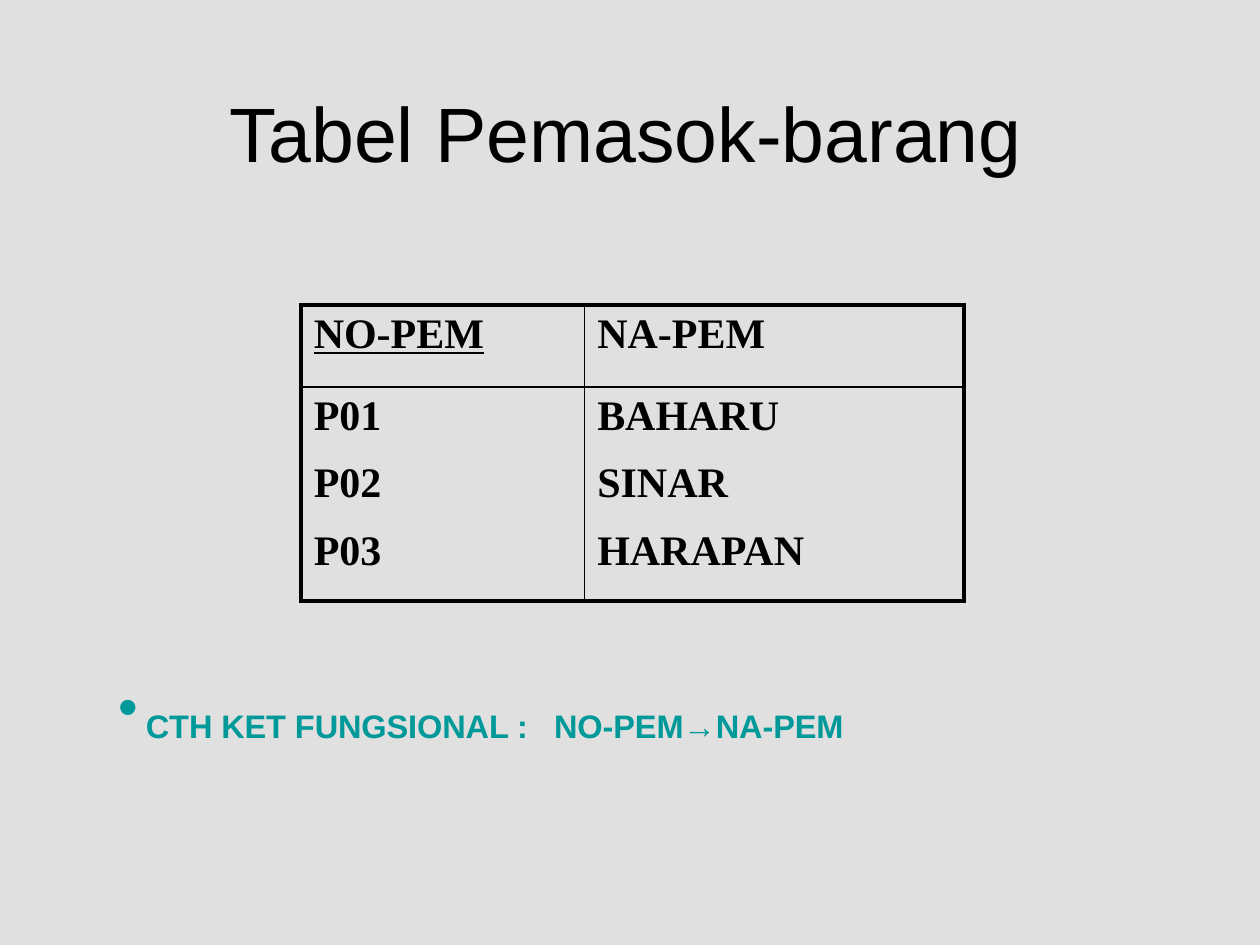
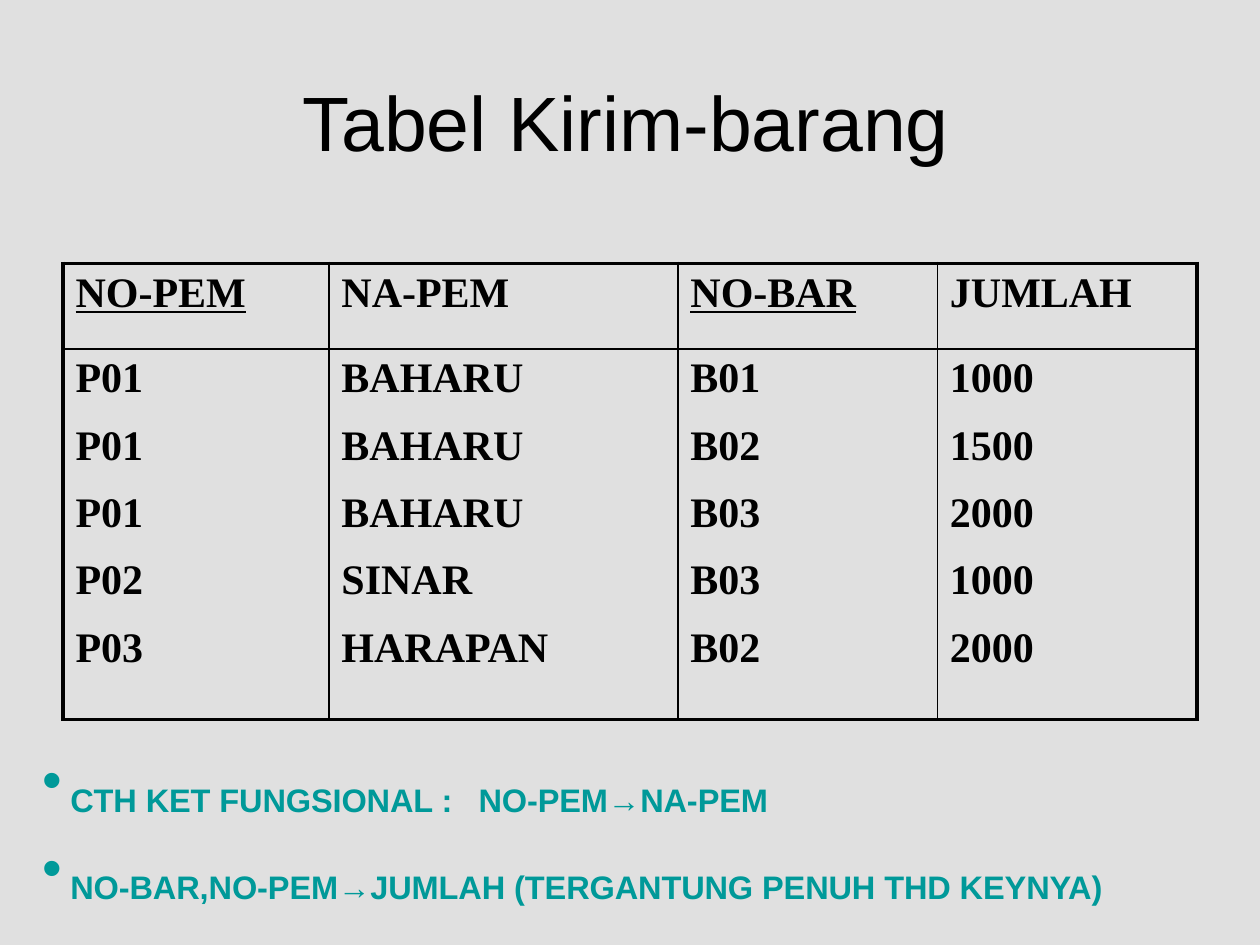
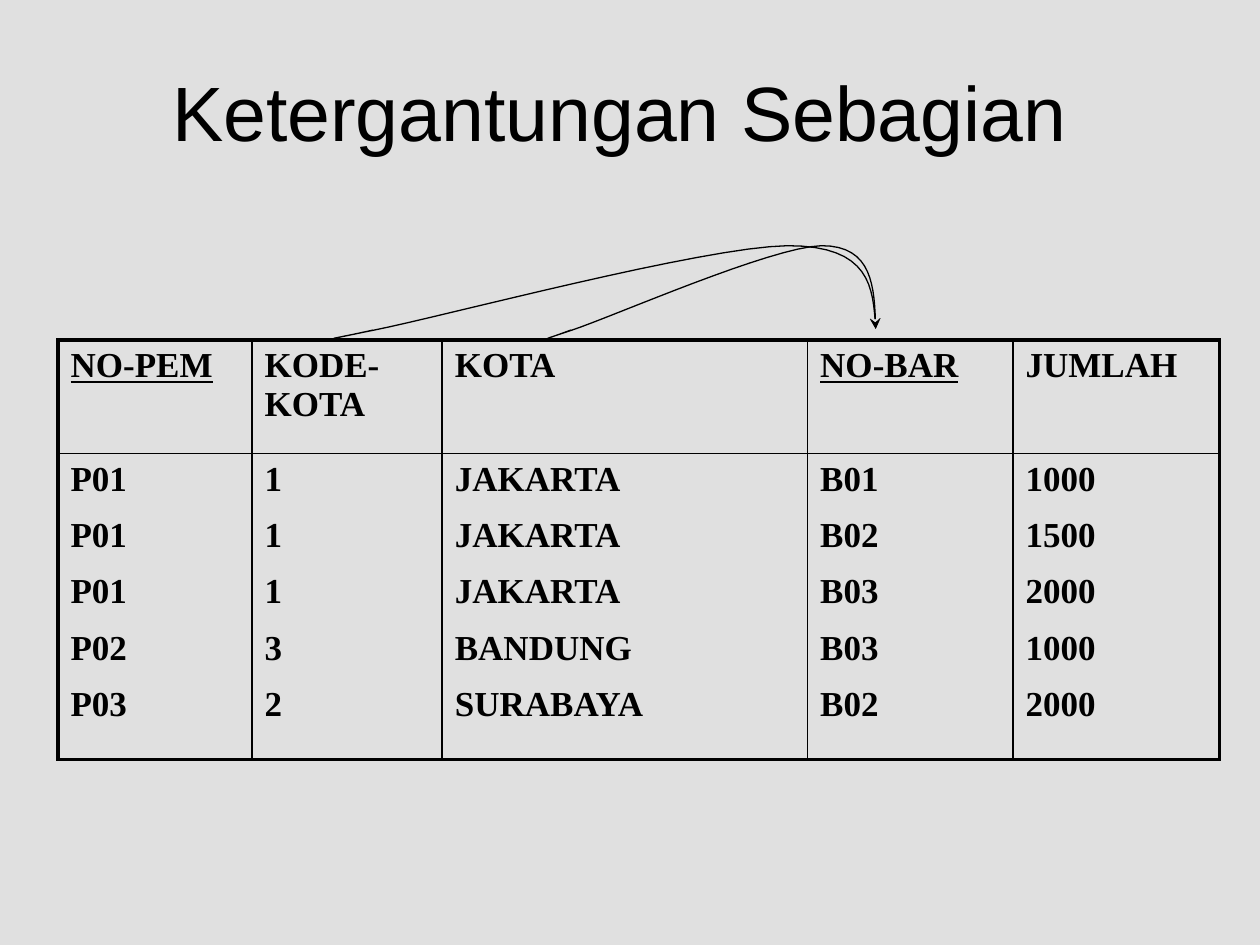
from dataclasses import dataclass

from lxml.etree import SubElement
from pptx import Presentation
from pptx.dml.color import RGBColor as RGB
from pptx.enum.text import MSO_ANCHOR as ANCHOR, MSO_AUTO_SIZE as AUTOSIZE, PP_ALIGN as ALIGN
from pptx.oxml.ns import qn
from pptx.oxml.xmlchemy import OxmlElement
from pptx.slide import Slide
from pptx.table import _Cell as Cell
from pptx.text.text import _Paragraph as Paragraph
from pptx.util import Inches, Pt

COLORS = {"background": "E0E0E0", "ink": "000000", "note": "009999"}
SANS, SERIF = "Arial", "Times New Roman"
OUTER, INNER = 2.25, 1
BULLET_INDENT, FORMULA_TAB = 0.22, 3.46
CURVE_STEPS = 16

Point = tuple[float, float]


@dataclass(frozen=True)
class Title:
    text: str
    left: float
    top: float


@dataclass(frozen=True)
class Relation:
    left: float
    top: float
    widths: list[float]
    heights: list[float]
    headers: list[str]
    columns: list[list[str]]
    size: int = 24
    keys: tuple[str, ...] = ("NO-PEM", "NO-BAR")


@dataclass(frozen=True)
class Notes:
    left: float
    top: float
    width: float
    height: float
    lines: list[str]


@dataclass(frozen=True)
class Arrow:
    start: Point
    curves: list[tuple[Point, Point, Point]]


@dataclass(frozen=True)
class Page:
    title: Title
    relation: Relation
    notes: Notes | None = None
    arrows: tuple[Arrow, ...] = ()


SUPPLIERS = ["P01", "P01", "P01", "P02", "P03"]
ITEMS = ["B01", "B02", "B03", "B03", "B02"]
AMOUNTS = ["1000", "1500", "2000", "1000", "2000"]
NAME_RULE = "CTH KET FUNGSIONAL :\tNO-PEM→NA-PEM"

PAGES = [
    Page(
        Title("Tabel Pemasok-barang", 0.47, 0.42),
        Relation(
            2.39, 2.42, [2.25, 3.01], [0.65, 1.7], ["NO-PEM", "NA-PEM"],
            [["P01", "P02", "P03"], ["BAHARU", "SINAR", "HARAPAN"]],
        ),
        Notes(0.84, 5.26, 6.74, 0.45, [NAME_RULE]),
    ),
    Page(
        Title("Tabel Kirim-barang", 0.47, 0.33),
        Relation(
            0.5, 2.09, [2.11, 2.77, 2.06, 2.06], [0.68, 2.94],
            ["NO-PEM", "NA-PEM", "NO-BAR", "JUMLAH"],
            [SUPPLIERS, ["BAHARU"] * 3 + ["SINAR", "HARAPAN"], ITEMS, AMOUNTS],
        ),
        Notes(
            0.24, 5.84, 9.68, 0.87,
            [NAME_RULE, "NO-BAR,NO-PEM→JUMLAH (TERGANTUNG PENUH THD KEYNYA)"],
        ),
    ),
    Page(
        Title("Ketergantungan Sebagian", 0.42, 0.25),
        Relation(
            0.46, 2.7, [1.54, 1.51, 2.9, 1.63, 1.64], [0.9, 2.43],
            ["NO-PEM", "KODE-KOTA", "KOTA", "NO-BAR", "JUMLAH"],
            [
                SUPPLIERS,
                ["1", "1", "1", "3", "2"],
                ["JAKARTA"] * 3 + ["BANDUNG", "SURABAYA"],
                ITEMS,
                AMOUNTS,
            ],
            size=20,
        ),
        arrows=(
            Arrow((6.95, 2.61), [
                ((6.93, 2.28), (6.91, 1.95), (6.25, 1.95)),
                ((5.58, 1.96), (3.52, 2.51), (2.97, 2.62)),
                ((2.42, 2.73), (2.69, 2.68), (2.96, 2.62)),
            ]),
            Arrow((6.95, 2.61), [
                ((6.94, 2.28), (6.93, 1.95), (6.52, 1.95)),
                ((6.12, 1.96), (4.87, 2.51), (4.54, 2.62)),
                ((4.21, 2.73), (4.37, 2.68), (4.53, 2.62)),
            ]),
        ),
    ),
]


def add_text(p: Paragraph, text: str, *, size: int, font: str = SANS, color: str = "ink",
             bold: bool = False, underline: bool = False, baseline: int = 0) -> None:
    """Add one formatted run to a paragraph."""
    r = p.add_run()
    r.text = text
    r.font.size = Pt(size)
    r.font.name = font
    r.font.bold = bold
    r.font.underline = underline
    r.font.color.rgb = RGB.from_string(COLORS[color])
    if baseline:
        r._r.get_or_add_rPr().set("baseline", str(baseline * 1000))


def space_before(p: Paragraph, percent: int) -> None:
    """Set the paragraph spacing relative to the text size."""
    spacing = SubElement(p._p.get_or_add_pPr(), qn("a:spcBef"))
    SubElement(spacing, qn("a:spcPct")).set("val", str(percent * 1000))


def add_bullet(p: Paragraph) -> None:
    """Give a paragraph a hanging bullet and a tab stop for its formula."""
    pPr = p._p.get_or_add_pPr()
    pPr.set("marL", str(Inches(BULLET_INDENT)))
    pPr.set("indent", str(-Inches(BULLET_INDENT)))
    SubElement(pPr, qn("a:buFont")).set("typeface", SANS)
    SubElement(pPr, qn("a:buChar")).set("char", "•")
    tab = SubElement(SubElement(pPr, qn("a:tabLst")), qn("a:tab"))
    tab.set("pos", str(Inches(FORMULA_TAB)))
    tab.set("algn", "l")


def add_title(s: Slide, title: Title) -> None:
    """Draw the centred slide title."""
    box = s.shapes.add_textbox(Inches(title.left), Inches(title.top), Inches(9), Inches(1.25))
    tf = box.text_frame
    tf.word_wrap = True
    tf.vertical_anchor = ANCHOR.MIDDLE
    p = tf.paragraphs[0]
    p.alignment = ALIGN.CENTER
    add_text(p, title.text, size=44)


def set_borders(cell: Cell, widths: dict[str, float]) -> None:
    """Draw the four borders of a cell with the given widths."""
    tcPr = cell._tc.get_or_add_tcPr()
    for i, (side, width) in enumerate(widths.items()):
        ln = OxmlElement(f"a:ln{side}")
        ln.set("w", str(Pt(width)))
        fill = SubElement(ln, qn("a:solidFill"))
        SubElement(fill, qn("a:srgbClr")).set("val", COLORS["ink"])
        tcPr.insert(i, ln)


def add_relation(s: Slide, rel: Relation) -> None:
    """Draw a relation as a header row above one row of stacked values."""
    rows, cols = len(rel.heights), len(rel.widths)
    frame = s.shapes.add_table(rows, cols, Inches(rel.left), Inches(rel.top),
                               Inches(sum(rel.widths)), Inches(sum(rel.heights)))
    table = frame.table
    table.first_row = table.horz_banding = False
    for row, height in zip(table.rows, rel.heights):
        row.height = Inches(height)
    for c, (header, values) in enumerate(zip(rel.headers, rel.columns)):
        table.columns[c].width = Inches(rel.widths[c])
        for r, lines in enumerate(([header], values)):
            cell = table.cell(r, c)
            cell.fill.background()
            set_borders(cell, {
                "L": OUTER if c == 0 else INNER,
                "R": OUTER if c == cols - 1 else INNER,
                "T": OUTER if r == 0 else INNER,
                "B": OUTER if r == rows - 1 else INNER,
            })
            tf = cell.text_frame
            for i, line in enumerate(lines):
                p = tf.add_paragraph() if i else tf.paragraphs[0]
                space_before(p, 50)
                add_text(p, line, size=rel.size, font=SERIF, bold=True,
                         underline=line in rel.keys)


def add_notes(s: Slide, notes: Notes) -> None:
    """Draw the bulleted functional dependencies."""
    box = s.shapes.add_textbox(Inches(notes.left), Inches(notes.top),
                               Inches(notes.width), Inches(notes.height))
    tf = box.text_frame
    tf.word_wrap = True
    tf.auto_size = AUTOSIZE.SHAPE_TO_FIT_TEXT
    for i, line in enumerate(notes.lines):
        p = tf.add_paragraph() if i else tf.paragraphs[0]
        space_before(p, 20)
        add_bullet(p)
        add_text(p, line, size=32, color="note", bold=True, baseline=-25)


def bezier(a: Point, b: Point, c: Point, d: Point, t: float) -> Point:
    """Return the point at t on a cubic curve."""
    u = 1 - t
    x, y = (u**3 * k + 3 * u * u * t * l + 3 * u * t * t * m + t**3 * n
            for k, l, m, n in zip(a, b, c, d))
    return x, y


def add_arrow(s: Slide, arrow: Arrow) -> None:
    """Draw a curved dependency arrow with its head at the start."""
    points, start = [], arrow.start
    for b, c, d in arrow.curves:
        points += [bezier(start, b, c, d, i / CURVE_STEPS) for i in range(1, CURVE_STEPS + 1)]
        start = d
    x, y = arrow.start
    builder = s.shapes.build_freeform(Inches(x), Inches(y))
    builder.add_line_segments([(Inches(x), Inches(y)) for x, y in points], close=False)
    sp = builder.convert_to_shape()
    sp.shadow.inherit = False
    sp.fill.background()
    sp.line.color.rgb = RGB.from_string(COLORS["ink"])
    sp.line.width = Pt(0.75)
    SubElement(sp.line._get_or_add_ln(), qn("a:headEnd")).set("type", "stealth")


def main() -> None:
    """Build the deck and save it."""
    prs = Presentation()
    prs.slide_width, prs.slide_height = Inches(10), Inches(7.5)
    for page in PAGES:
        s = prs.slides.add_slide(prs.slide_layouts[6])
        s.background.fill.solid()
        s.background.fill.fore_color.rgb = RGB.from_string(COLORS["background"])
        add_title(s, page.title)
        add_relation(s, page.relation)
        if page.notes:
            add_notes(s, page.notes)
        for arrow in page.arrows:
            add_arrow(s, arrow)
    prs.save("out.pptx")


if __name__ == "__main__":
    main()
